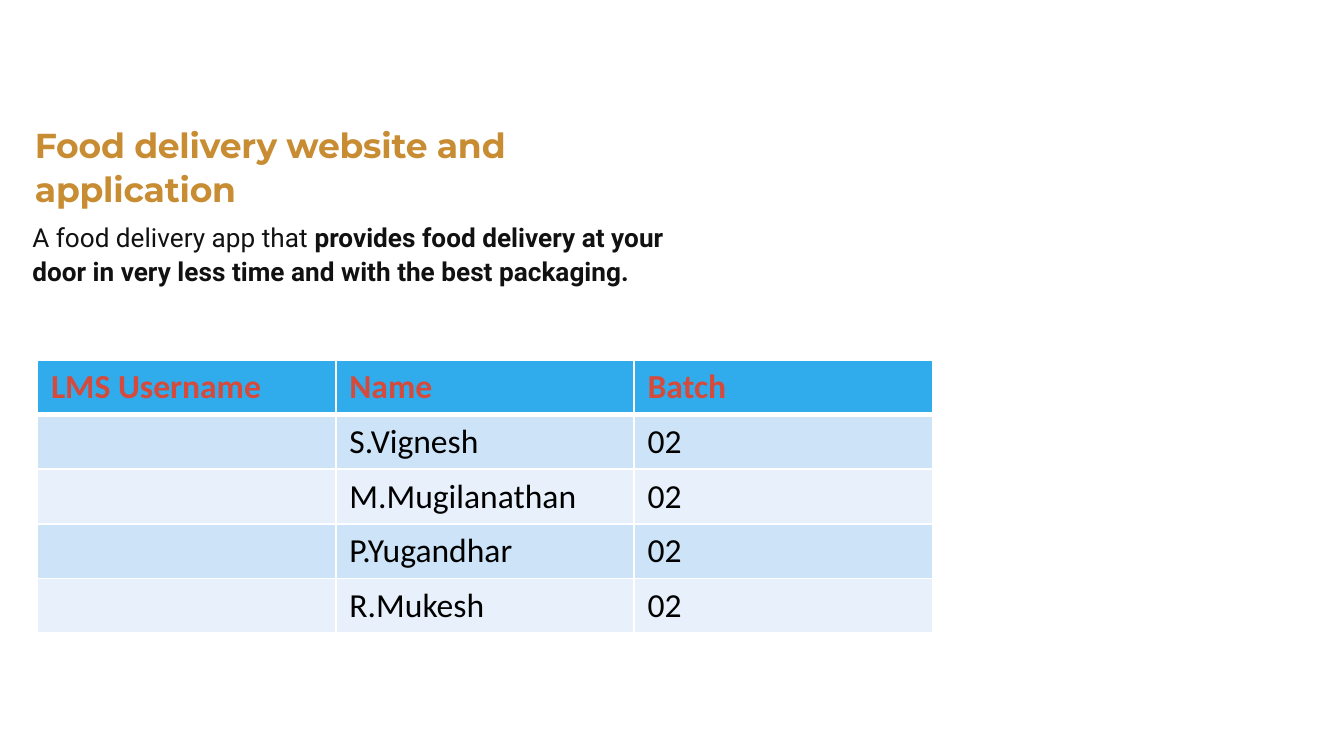
from lxml import etree
from pptx import Presentation
from pptx.dml.color import RGBColor
from pptx.enum import text
from pptx.oxml import ns
from pptx.util import Inches, Pt

COLORS = {
    "title": "C88C32",
    "body": "111111",
    "header_fill": "30ACEC",
    "header_text": "D64A3B",
    "cell_text": "000000",
    "band_dark": "CDE3F8",
    "band_light": "E8F1FB",
    "border": "FFFFFF",
}
TITLE = "Food delivery website and application"
SUMMARY = [
    ("A food delivery app that", False),
    ("\xa0provides food delivery at your door in very less time "
     "and with the best packaging.\xa0", True),
]
TEAM = [
    ("LMS Username", "Name", "Batch"),
    ("", "S.Vignesh", "02"),
    ("", "M.Mugilanathan", "02"),
    ("", "P.Yugandhar", "02"),
    ("", "R.Mukesh", "02"),
]


def add_span(para, words, *, font, size, color, bold=False, spacing=None):
    """Append formatted text to a paragraph."""
    span = para.add_run()
    span.text = words
    span.font.name = font
    span.font.size = Pt(size)
    span.font.bold = bold
    span.font.color.rgb = RGBColor.from_string(COLORS[color])
    if spacing is not None:
        span.font._element.set("spc", str(round(spacing * 100)))


def prepare_frame(shape, line_spacing):
    """Remove the insets and return the first paragraph, left aligned."""
    frame = shape.text_frame
    frame.margin_left = frame.margin_top = 0
    frame.margin_right = frame.margin_bottom = 0
    frame.word_wrap = True
    frame.auto_size = text.MSO_AUTO_SIZE.SHAPE_TO_FIT_TEXT
    frame.vertical_anchor = text.MSO_ANCHOR.TOP
    para = frame.paragraphs[0]
    para.alignment = text.PP_ALIGN.LEFT
    para.line_spacing = Pt(line_spacing)
    return para


def set_borders(cell, **widths):
    """Draw the cell's sides, given as lnL, lnR, lnT, lnB in points."""
    properties = cell._tc.get_or_add_tcPr()
    for place, (side, width) in enumerate(widths.items()):
        line = etree.Element(ns.qn(f"a:{side}"), w=str(Pt(width)))
        fill = etree.SubElement(line, ns.qn("a:solidFill"))
        etree.SubElement(fill, ns.qn("a:srgbClr"), val=COLORS["border"])
        properties.insert(place, line)


def place_title(page, left, top, width, height):
    title = page.shapes.title
    title.left, title.top = Inches(left), Inches(top)
    title.width, title.height = Inches(width), Inches(height)
    para = prepare_frame(title, 23.8)
    add_span(para, TITLE, font="Montserrat", size=18.5, color="title",
             bold=True, spacing=-0.1)


def add_summary(page, left, top, width, height):
    box = page.shapes.add_textbox(Inches(left), Inches(top),
                                  Inches(width), Inches(height))
    para = prepare_frame(box, 18)
    for words, bold in SUMMARY:
        add_span(para, words, font="Roboto", size=14, color="body", bold=bold)


def add_team_table(page, left, top, width, height):
    table = page.shapes.add_table(
        len(TEAM), len(TEAM[0]), Inches(left), Inches(top),
        Inches(width), Inches(height)).table
    for row, entries in enumerate(TEAM):
        header = row == 0
        fill = ("header_fill" if header
                else "band_dark" if row % 2 else "band_light")
        for column, words in enumerate(entries):
            cell = table.cell(row, column)
            cell.fill.solid()
            cell.fill.fore_color.rgb = RGBColor.from_string(COLORS[fill])
            # A thick rule separates the header from the first row
            set_borders(cell, lnL=1, lnR=1, lnT=3 if row == 1 else 1,
                        lnB=3 if header else 1)
            if words:
                add_span(cell.text_frame.paragraphs[0], words,
                         font="Calibri", size=18, bold=header,
                         color="header_text" if header else "cell_text")


def main():
    deck = Presentation()
    deck.slide_width = Inches(10)
    deck.slide_height = deck.slide_width * 9 // 16  # widescreen
    page = deck.slides.add_slide(deck.slide_layouts[5])  # title only

    # Heading and summary
    place_title(page, 0.26, 0.9, 4.51, 0.66)
    add_summary(page, 0.24, 1.63, 4.99, 0.49)

    # Team members
    add_team_table(page, 0.28, 2.68, 6.66, 2.03)

    deck.save("out.pptx")


if __name__ == "__main__":
    main()
